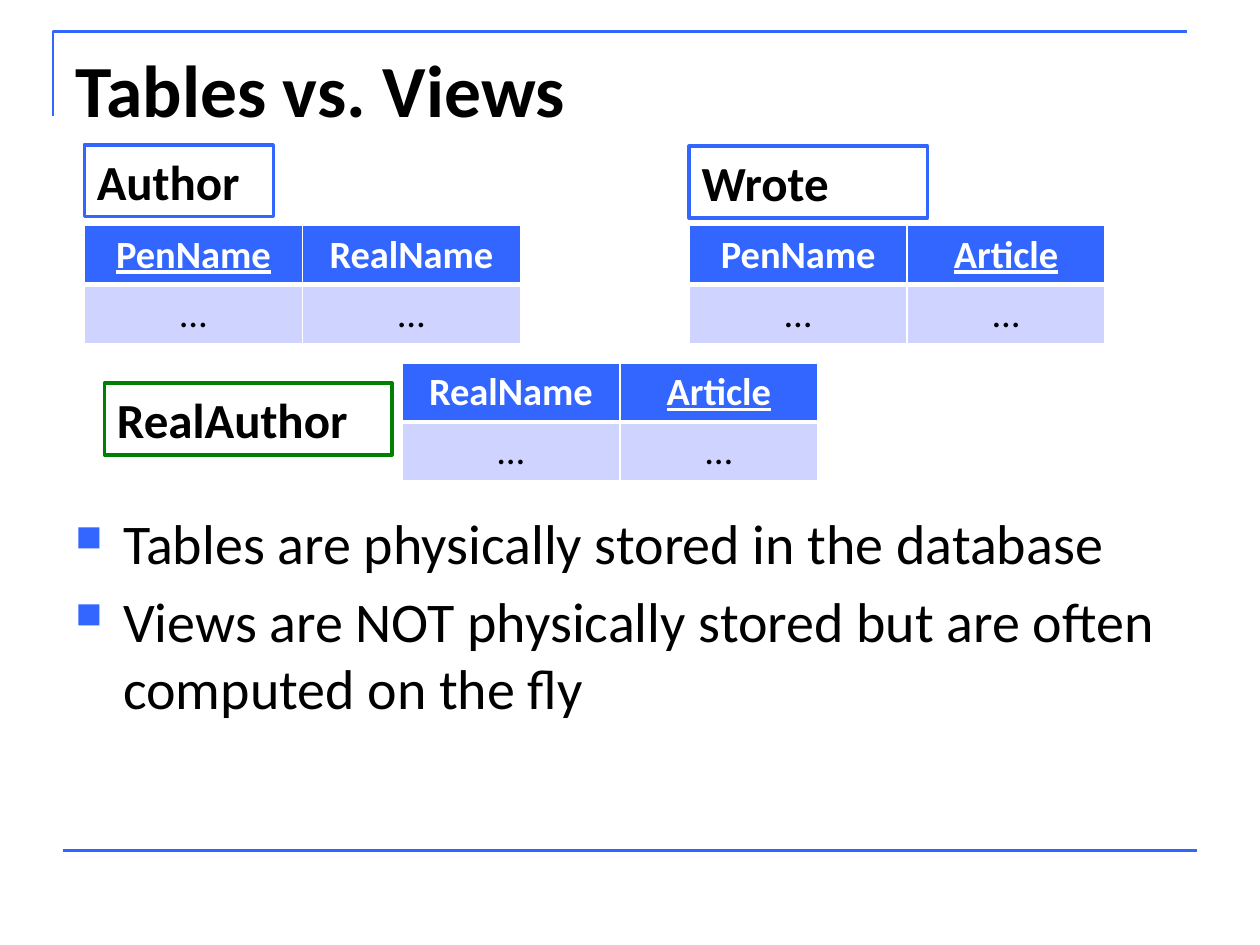
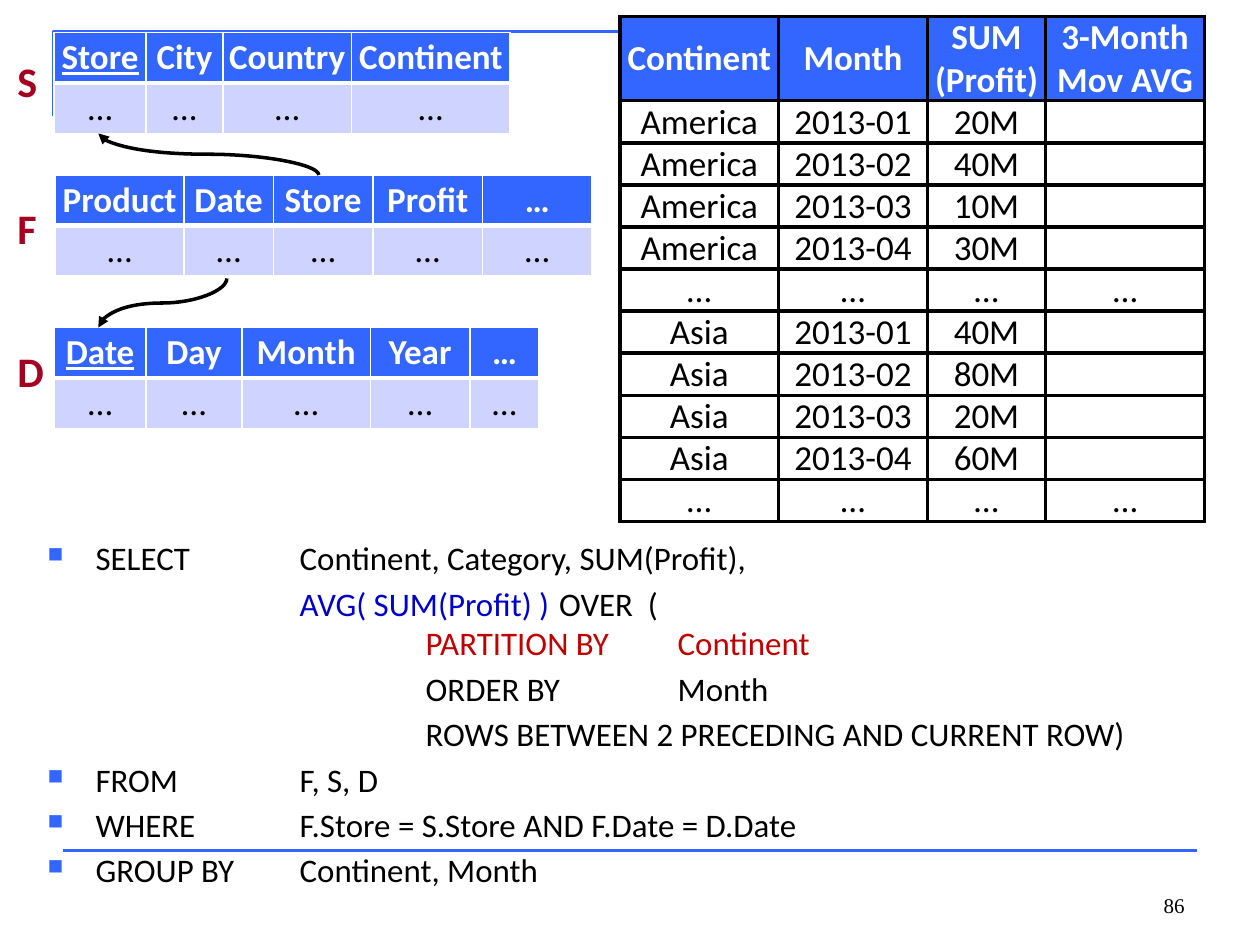
from lxml import etree
from pptx import Presentation
from pptx import util as u
from pptx.dml.color import RGBColor
from pptx.enum import shapes, text
from pptx.oxml.ns import qn

BLUE, PALE, WHITE, BLACK = "3366FF", "CED3FF", "FFFFFF", "000000"
GREEN, CRIMSON, RED, NAVY = "008000", "A50021", "C00000", "0000CC"
TITLE_ONLY, BLANK = 5, 6
LEFT, CENTER, RIGHT = text.PP_ALIGN.LEFT, text.PP_ALIGN.CENTER, text.PP_ALIGN.RIGHT
TOP, MIDDLE, BOTTOM = (text.MSO_ANCHOR.TOP, text.MSO_ANCHOR.MIDDLE,
                       text.MSO_ANCHOR.BOTTOM)


def rgb(hex_string):
    return RGBColor.from_string(hex_string)


def inches(*lengths):
    return [u.Inches(length) for length in lengths]


def assign(target, values):
    for name, value in values.items():
        setattr(target, name, value)


def add_xml(parent, tag, **attributes):
    return etree.SubElement(parent, qn(tag), attributes)


class DeckBuilder:
    font_name = "Calibri"

    def __init__(self):
        self.deck = Presentation()
        self.deck.slide_width, self.deck.slide_height = inches(10, 7.5)
        self.page = None

    def new_page(self, layout):
        """Start a slide with the corner line and the footer line."""
        self.page = self.deck.slides.add_slide(self.deck.slide_layouts[layout])
        outline = self.page.shapes.build_freeform(*inches(0.42, 0.92))
        outline.add_line_segments([inches(0.42, 0.25), inches(9.42, 0.25)],
                                  close=False)
        corner = outline.convert_to_shape()
        corner.shadow.inherit = False
        corner.fill.background()
        self.stroke(corner, BLUE, 1.5)
        self.connector(shapes.MSO_CONNECTOR.STRAIGHT, (0.5, 6.75), (9.5, 6.75),
                       BLUE, 1.5)

    def stroke(self, shape, color, width):
        shape.line.color.rgb = rgb(color)
        shape.line.width = u.Pt(width)

    def connector(self, kind, begin, end, color, width):
        line = self.page.shapes.add_connector(kind, *inches(*begin, *end))
        self.stroke(line, color, width)
        add_xml(line._element.spPr, "a:effectLst")
        return line

    def curved_arrow(self, begin, end):
        """Draw an arrow that leaves and arrives vertically, heading left."""
        (x1, y1), (x2, y2) = begin, end
        middle_x, middle_y = (x1 + x2) / 2, (y1 + y2) / 2
        half_width, half_height = abs(y2 - y1) / 2, (x1 - x2) / 2
        downward = y2 > y1
        if not downward:
            half_height = -half_height
        arrow = self.connector(
            shapes.MSO_CONNECTOR.CURVE,
            (middle_x - half_width, middle_y - half_height),
            (middle_x + half_width, middle_y + half_height), BLACK, 2)
        degrees = 90 if downward else 270
        arrow._element.spPr.find(qn("a:xfrm")).set("rot", str(degrees * 60000))
        add_xml(arrow.line._get_or_add_ln(), "a:tailEnd", type="triangle")

    def add_spans(self, para, spans, size, align=LEFT, **font):
        """Fill a paragraph with (text, colour) spans; a newline is a break."""
        para.alignment = align
        for words, color in spans:
            for number, piece in enumerate(words.split("\n")):
                if number:
                    para.add_line_break()
                span = para.add_run()
                span.text = piece
                assign(span.font, {"name": self.font_name, "size": u.Pt(size),
                                   **font})
                span.font.color.rgb = rgb(color)

    def title(self, words):
        box = self.page.shapes.title
        assign(box, dict(zip(("left", "top", "width", "height"),
                             inches(0.5, 0.3, 9, 1.25))))
        box.text_frame.vertical_anchor = TOP
        self.add_spans(box.text_frame.paragraphs[0], [(words, BLACK)], 42, bold=True)

    def text_box(self, place, words="", size=24, color=BLACK, anchor=TOP, **style):
        box = self.page.shapes.add_textbox(*inches(*place))
        assign(box.text_frame, {"word_wrap": True, "vertical_anchor": anchor})
        if words:
            self.add_spans(box.text_frame.paragraphs[0], [(words, color)], size,
                           **style)
        return box

    def framed_label(self, place, words, color=BLUE):
        box = self.page.shapes.add_shape(shapes.MSO_SHAPE.RECTANGLE, *inches(*place))
        box.shadow.inherit = False
        box.fill.background()
        self.stroke(box, color, 2)
        self.add_spans(box.text_frame.paragraphs[0], [(words, BLACK)], 28, bold=True)

    def body(self, place, items, size):
        """Add paragraphs given as (has bullet, spans)."""
        frame = self.text_box(place).text_frame
        for number, (bulleted, spans) in enumerate(items):
            para = frame.add_paragraph() if number else frame.paragraphs[0]
            properties = para._p.get_or_add_pPr()
            properties.set("defTabSz", str(u.Inches(1)))
            if bulleted:
                indent = u.Inches(0.38)
                properties.set("marL", str(indent))
                properties.set("indent", str(-indent))
                add_xml(add_xml(properties, "a:buClr"), "a:srgbClr", val=BLUE)
                add_xml(properties, "a:buSzPct", val="65000")
                add_xml(properties, "a:buChar", char="■")
            if number:
                para.space_before = u.Pt(round(size * 0.18, 1))
            self.add_spans(para, spans, size)

    def borders(self, cell, color, widths):
        """Set the left, right, top and bottom border of a cell."""
        properties = cell._tc.get_or_add_tcPr()
        for position, (side, width) in enumerate(zip("LRTB", widths)):
            line = etree.Element(qn(f"a:ln{side}"), w=str(u.Pt(width)))
            fill = add_xml(line, "a:solidFill")
            add_xml(fill, "a:srgbClr", val=color)
            properties.insert(position, line)

    def table(self, corner, widths, heights, rows, size=20, key=None,
              body_fill=PALE, grid=None):
        """Draw a table; key is the underlined heading, grid a border width."""
        place = inches(*corner, sum(widths), sum(heights))
        table = self.page.shapes.add_table(len(rows), len(widths), *place).table
        assign(table, {"first_row": False, "horz_banding": False})
        for column, width in zip(table.columns, widths):
            column.width = u.Inches(width)
        for row, height in zip(table.rows, heights):
            row.height = u.Inches(height)
        for row_number, row in enumerate(rows):
            heading = row_number == 0
            white_widths = (1, 1, 1, 3) if heading else (1, 1, 3, 1)
            for column_number, words in enumerate(row):
                cell = table.cell(row_number, column_number)
                assign(cell, {"margin_left": 0, "margin_right": 0, "margin_top": 0,
                              "margin_bottom": 0, "vertical_anchor": MIDDLE})
                cell.fill.solid()
                cell.fill.fore_color.rgb = rgb(BLUE if heading else body_fill)
                if grid:
                    self.borders(cell, BLACK, (grid,) * 4)
                else:
                    self.borders(cell, WHITE, white_widths)
                if words:
                    self.add_spans(cell.text_frame.paragraphs[0],
                                   [(words, WHITE if heading else BLACK)], size,
                                   CENTER, bold=heading,
                                   underline=heading and words == key)

    def schema(self, corner, columns, height=0.4, **style):
        """Draw a relation: its column names above one row of dots."""
        self.table(corner, list(columns.values()), [height] * 2,
                   [list(columns), ["…"] * len(columns)], **style)


def tables_and_views(builder):
    builder.new_page(TITLE_ONLY)
    builder.title("Tables vs. Views")
    builder.body((0.5, 3.99, 9, 2.76), [
        (True, [("Tables are physically stored in the database", BLACK)]),
        (True, [("Views are NOT physically stored but are often "
                 "computed on the fly", BLACK)]),
    ], 32)
    relations = [
        ((0.67, 1.79), {"PenName": 1.73, "RealName": 1.73}, "PenName"),
        ((5.47, 1.79), {"PenName": 1.73, "Article": 1.57}, "Article"),
        ((3.19, 2.88), {"RealName": 1.73, "Article": 1.57}, "Article"),
    ]
    for corner, columns, key in relations:
        builder.schema(corner, columns, height=0.47, size=22, key=key)
    builder.framed_label((0.67, 1.15, 1.5, 0.57), "Author")
    builder.framed_label((5.47, 1.16, 1.89, 0.57), "Wrote")
    builder.framed_label((0.83, 3.04, 2.28, 0.57), "RealAuthor", GREEN)


def moving_average(builder):
    builder.new_page(BLANK)
    relations = [
        ("S", 0.39, (0.43, 0.26), "Store",
         {"Store": 0.73, "City": 0.61, "Country": 1.02, "Continent": 1.26}),
        ("F", 1.56, (0.44, 1.39), None,
         {"Product": 1.02, "Date": 0.71, "Store": 0.79, "Profit": 0.87, "…": 0.87}),
        ("D", 2.69, (0.43, 2.6), "Date",
         {"Date": 0.73, "Day": 0.76, "Month": 1.02, "Year": 0.79, "…": 0.55}),
    ]
    for letter, letter_top, corner, key, columns in relations:
        builder.schema(corner, columns, key=key)
        builder.text_box((0.04, letter_top, 0.47, 0.5), letter, color=CRIMSON,
                         bold=True)
    builder.curved_arrow((2.53, 1.39), (0.78, 1.06))
    builder.curved_arrow((1.8, 2.21), (0.78, 2.6))

    profits = {"America": ("20M", "40M", "10M", "30M"),
               "Asia": ("40M", "80M", "20M", "60M")}
    rows = [["Continent", "Month", "SUM\n(Profit)", "3-Month\nMov AVG"]]
    for continent, sums in profits.items():
        rows += [[continent, f"2013-{month:02}", profit, ""]
                 for month, profit in enumerate(sums, 1)]
        rows.append(["…"] * 4)
    builder.table((4.92, 0.13), [1.26, 1.18, 0.94, 1.26],
                  [0.67] + [0.33] * (len(rows) - 1), rows,
                  body_fill=WHITE, grid=2.25)

    builder.body((0.28, 4.22, 9.61, 2.52), [
        (True, [("SELECT\tContinent, Category, SUM(Profit),", BLACK)]),
        (False, [("\t\t", BLACK), ("AVG( SUM(Profit) )", NAVY),
                 ("\t OVER  (\n\t\t\t", BLACK), ("PARTITION BY\tContinent", RED)]),
        (False, [("\t\t\tORDER BY\tMonth", BLACK)]),
        (False, [("\t\t\tROWS BETWEEN 2 PRECEDING AND CURRENT ROW)", BLACK)]),
        (True, [("FROM\tF, S, D", BLACK)]),
        (True, [("WHERE\tF.Store = S.Store AND F.Date = D.Date", BLACK)]),
        (True, [("GROUP BY\tContinent, Month", BLACK)]),
    ], 18.8)
    builder.text_box((7.17, 6.83, 2.33, 0.5), "86", 12, anchor=BOTTOM, align=RIGHT,
                     name="Times New Roman")


def main():
    builder = DeckBuilder()
    tables_and_views(builder)
    moving_average(builder)
    builder.deck.save("out.pptx")


if __name__ == "__main__":
    main()
